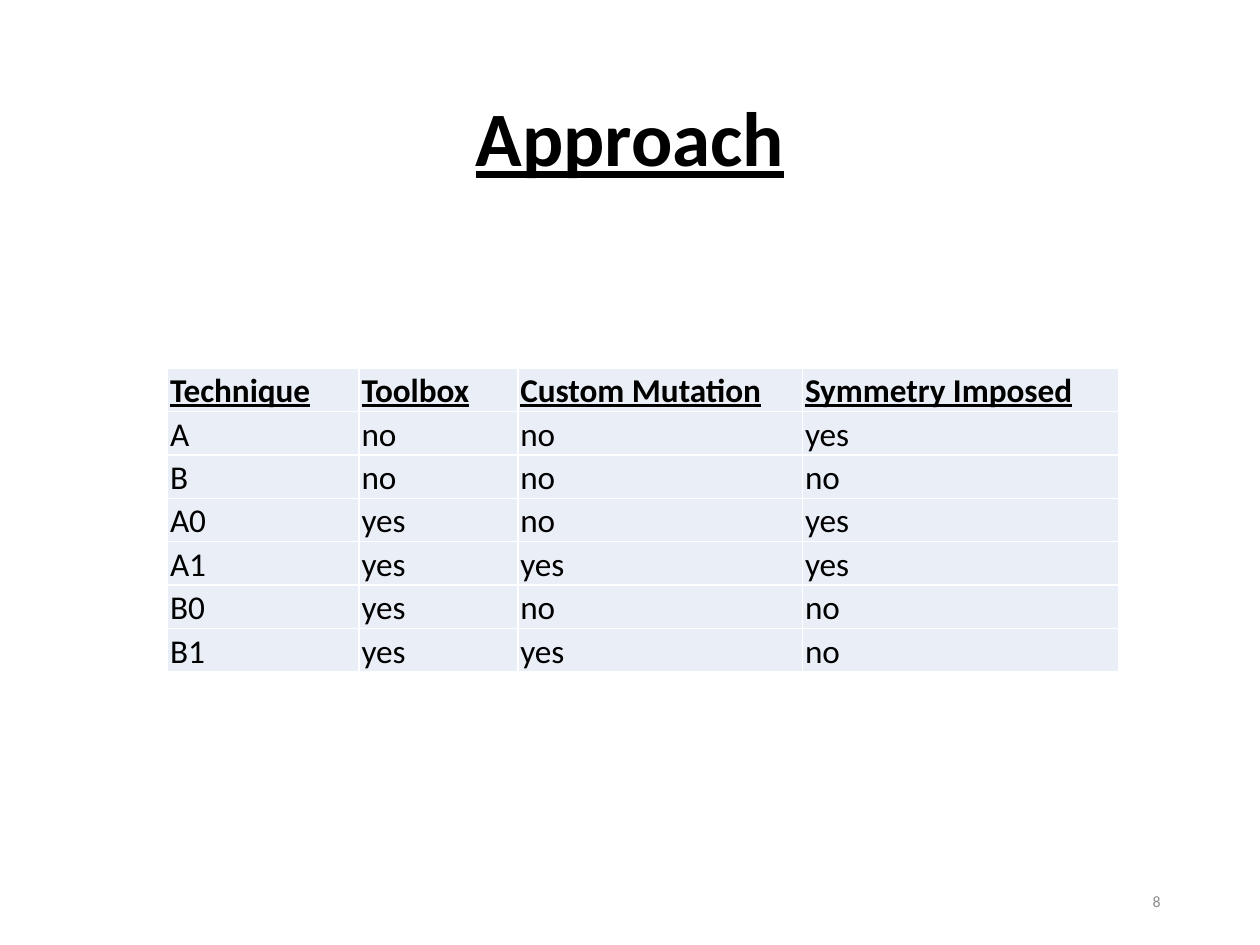
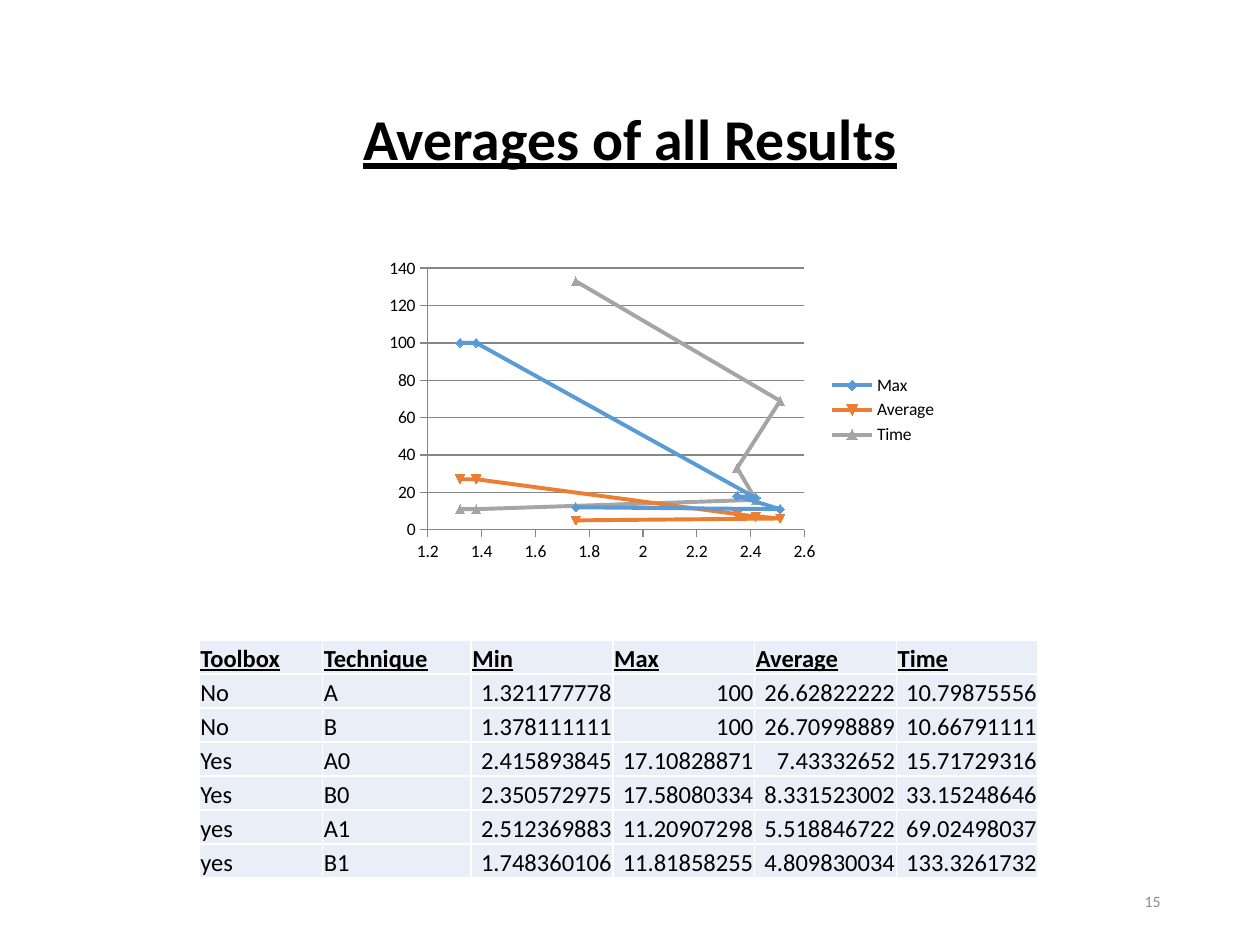
from lxml import etree
from pptx import Presentation
from pptx import util as u
from pptx.chart import data as cd
from pptx.dml.color import RGBColor
from pptx.enum import chart as ch, text
from pptx.oxml import ns

HUE = {"ink": "000000", "page": "8C8C8C", "cell": "EAEFF7", "edge": "FFFFFF",
       "grid": "868686", "Max": "5B9BD5", "Average": "ED7D31", "Time": "A5A5A5"}
HEAD = {"bold": True, "underline": True}
BODY = {"bold": False, "underline": False}


def style(font, size, hue="ink", **form):
    form = {"name": "Calibri", "size": u.Pt(size), **form}
    for key, val in form.items():
        setattr(font, key, val)
    font.color.rgb = RGBColor.from_string(HUE[hue])


def grid(slide, rows, left, top, cols, high, size, pad):
    """Add a table; cells that hold numbers are aligned right."""
    tab = slide.shapes.add_table(
        len(rows), len(cols), u.Inches(left), u.Inches(top),
        u.Inches(sum(cols)), u.Inches(high * len(rows))).table
    for col, wide in zip(tab.columns, cols):
        col.width = u.Inches(wide)
    for r, row in enumerate(rows):
        tab.rows[r].height = u.Inches(high)
        for c, word in enumerate(row):
            cell = tab.cell(r, c)
            cell.text = word
            form = {"margin_left": u.Inches(pad), "margin_right": u.Inches(pad),
                    "margin_top": u.Inches(pad), "margin_bottom": 0,
                    "vertical_anchor": text.MSO_ANCHOR.BOTTOM}
            for key, val in form.items():
                setattr(cell, key, val)
            para = cell.text_frame.paragraphs[0]
            if word[0].isdigit():
                para.alignment = text.PP_ALIGN.RIGHT
            style(para.runs[0].font, size, **(BODY if r else HEAD))
            # Cell borders come before the fill
            props = cell._tc.get_or_add_tcPr()
            for side in ("lnL", "lnR", "lnT", "lnB"):
                line = etree.SubElement(props, ns.qn("a:" + side), w=str(u.Pt(1)))
                fill = etree.SubElement(line, ns.qn("a:solidFill"))
                etree.SubElement(fill, ns.qn("a:srgbClr"), val=HUE["edge"])
            cell.fill.solid()
            cell.fill.fore_color.rgb = RGBColor.from_string(HUE["cell"])


prs = Presentation()
prs.slide_width, prs.slide_height = u.Inches(10), u.Inches(7.5)

# Titles and page numbers
pages = []
for name, size, num in (("Approach", 44, "8"), ("Averages of all Results", 33, "15")):
    slide = prs.slides.add_slide(prs.slide_layouts[5])
    pages.append(slide)
    foot = slide.shapes.add_textbox(0, 0, 0, 0)
    for box, word, spot, side, form in (
            (slide.shapes.title, name, (0.69, 0.4, 8.62, 1.45), "CENTER",
             {"size": size, **HEAD}),
            (foot, num, (7.06, 6.95, 2.25, 0.4), "RIGHT",
             {"size": 9, "hue": "page"})):
        box.left, box.top, box.width, box.height = map(u.Inches, spot)
        frame = box.text_frame
        frame.text = word
        frame.word_wrap = True
        frame.vertical_anchor = text.MSO_ANCHOR.MIDDLE
        para = frame.paragraphs[0]
        para.alignment = text.PP_ALIGN[side]
        style(para.runs[0].font, **form)
    slide.shapes.title.text_frame.paragraphs[0].line_spacing = 0.9

plan, score = pages

# Approach: techniques compared
grid(plan, [
    ("Technique", "Toolbox", "Custom Mutation", "Symmetry Imposed"),
    ("A", "no", "no", "yes"),
    ("B", "no", "no", "no"),
    ("A0", "yes", "no", "yes"),
    ("A1", "yes", "yes", "yes"),
    ("B0", "yes", "no", "no"),
    ("B1", "yes", "yes", "no"),
], 1.33, 2.92, (1.52, 1.26, 2.26, 2.51), 0.345, 19, 0.02)

# Averages: result rows feed both chart and table
rows = [
    ("Toolbox", "Technique", "Min", "Max", "Average", "Time"),
    ("No", "A", "1.321177778", "100", "26.62822222", "10.79875556"),
    ("No", "B", "1.378111111", "100", "26.70998889", "10.66791111"),
    ("Yes", "A0", "2.415893845", "17.10828871", "7.43332652", "15.71729316"),
    ("Yes", "B0", "2.350572975", "17.58080334", "8.331523002", "33.15248646"),
    ("yes", "A1", "2.512369883", "11.20907298", "5.518846722", "69.02498037"),
    ("yes", "B1", "1.748360106", "11.81858255", "4.809830034", "133.3261732"),
]

# Chart of each measure against Min
data = cd.XyChartData()
for c in (3, 4, 5):
    ser = data.add_series(rows[0][c])
    for row in rows[1:]:
        ser.add_data_point(round(float(row[2]), 2), round(float(row[c])))
chart = score.shapes.add_chart(
    ch.XL_CHART_TYPE.XY_SCATTER_SMOOTH, u.Inches(3), u.Inches(2),
    u.Inches(4.54), u.Inches(2.51), data).chart
style(chart.font, 10)
chart.has_title = False
chart.has_legend = True
chart.legend.position = ch.XL_LEGEND_POSITION.RIGHT
chart.legend.include_in_layout = False
chart.plots[0].vary_by_categories = False

# Axes
gray = RGBColor.from_string(HUE["grid"])
for axis, low, top, step, mesh, code in (
        (chart.category_axis, 1.2, 2.6, 0.2, False, "General"),
        (chart.value_axis, 0, 140, 20, True, "0")):
    form = {"minimum_scale": low, "maximum_scale": top, "major_unit": step,
            "has_major_gridlines": mesh, "has_minor_gridlines": False,
            "major_tick_mark": ch.XL_TICK_MARK.OUTSIDE,
            "minor_tick_mark": ch.XL_TICK_MARK.NONE}
    for key, val in form.items():
        setattr(axis, key, val)
    axis.tick_labels.number_format = code
    axis.tick_labels.number_format_is_linked = False
    axis.format.line.color.rgb = gray
chart.value_axis.major_gridlines.format.line.color.rgb = gray

# Series lines and markers
marks = (ch.XL_MARKER_STYLE.DIAMOND, None, ch.XL_MARKER_STYLE.TRIANGLE)
for ser, mark in zip(chart.plots[0].series, marks):
    tint = RGBColor.from_string(HUE[ser.name])
    ser.smooth = True
    ser.format.line.width = u.Pt(2.25)
    ser.format.line.color.rgb = tint
    ser.marker.style = mark
    ser.marker.size = 5
    ser.marker.format.fill.solid()
    ser.marker.format.fill.fore_color.rgb = tint
    ser.marker.format.line.color.rgb = tint

grid(score, rows, 1.58, 5.08, (0.98, 1.18) + (1.125,) * 4, 0.27, 14, 0.01)

prs.save("out.pptx")
